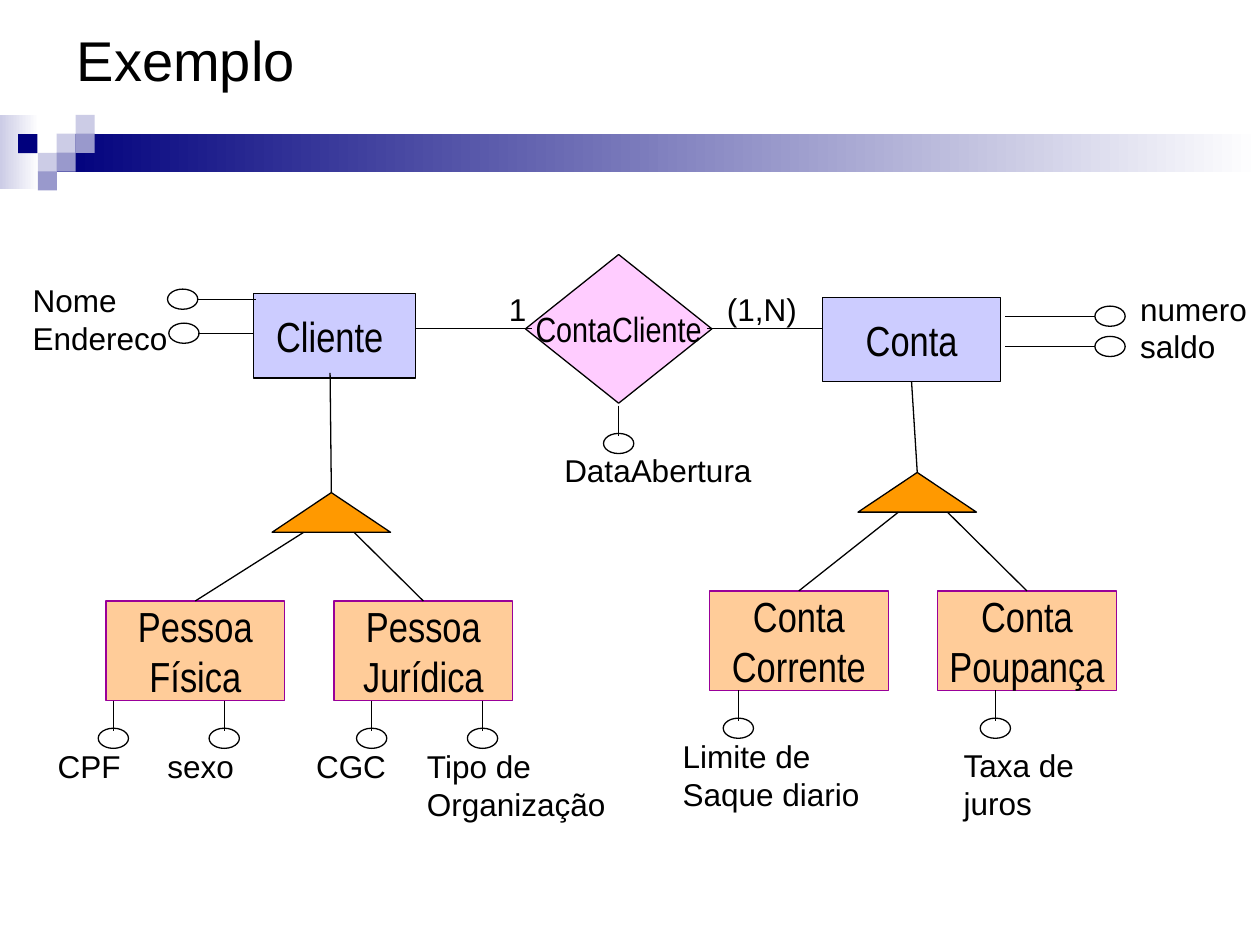
from dataclasses import dataclass
from typing import Optional

from lxml.etree import SubElement
from pptx import Presentation
from pptx.dml.color import RGBColor
from pptx.enum.shapes import MSO_CONNECTOR, MSO_SHAPE as Shape
from pptx.enum.text import MSO_ANCHOR as Anchor, MSO_AUTO_SIZE as Fit, PP_ALIGN as Align
from pptx.oxml.ns import qn
from pptx.util import Inches, Pt


@dataclass(frozen=True)
class Theme:
    black: str = "000000"
    white: str = "FFFFFF"
    navy: str = "00007D"
    mist: str = "CCCCE6"
    steel: str = "9999CC"
    entity: str = "CCCCFF"
    relation: str = "FFCCFF"
    subtype: str = "FFCC99"
    subtype_line: str = "990099"
    isa: str = "FF9900"
    body_font: str = "Arial"
    box_font: str = "Arial Narrow"
    title_size: int = 32
    box_size: int = 24
    relation_size: int = 20
    label_size: int = 18
    line_width: float = 0.75


@dataclass(frozen=True)
class Box:
    x: float
    y: float
    w: float
    h: float


@dataclass(frozen=True)
class Label:
    text: str
    x: float
    y: float
    w: float


@dataclass(frozen=True)
class Attribute:
    x: float
    top: float
    text: str
    w: float
    dx: float = -5.4
    dy: float = 3.2


@dataclass(frozen=True)
class SideAttribute:
    x: float
    y: float
    start: float
    end: float


@dataclass(frozen=True)
class Hierarchy:
    triangle: Box
    parent: tuple
    feet: tuple
    first: Box
    names: tuple


T = Theme()
COLUMNS, ROWS = 100, 75
SUBTYPE_PITCH = 18.1
OVAL_W, OVAL_H = 2.4, 1.6
TILE = 1.52
LABEL_SLACK = 0.4

prs = Presentation()
prs.slide_width, prs.slide_height = Inches(10), Inches(7.5)
s = prs.slides.add_slide(prs.slide_layouts[5])


def col(n: float) -> int:
    return round(prs.slide_width * n / COLUMNS)


def row(n: float) -> int:
    return round(prs.slide_height * n / ROWS)


def frame(b: Box) -> tuple:
    return col(b.x), row(b.y), col(b.w), row(b.h)


def rgb(color: str) -> RGBColor:
    return RGBColor.from_string(color)


def write(tf, text: str, font: str, size: int, align=Align.LEFT) -> None:
    for i, line in enumerate(text.split("\n")):
        p = tf.paragraphs[0] if i == 0 else tf.add_paragraph()
        p.alignment = align
        r = p.add_run()
        r.text = line
        r.font.name, r.font.size = font, Pt(size)
        r.font.color.rgb = rgb(T.black)


def add_shape(kind, b: Box, fill: Optional[str] = None, line: Optional[str] = T.black,
              text: str = "", size: int = T.box_size):
    sp = s.shapes.add_shape(kind, *frame(b))
    sp.shadow.inherit = False
    if fill:
        sp.fill.solid()
        sp.fill.fore_color.rgb = rgb(fill)
    else:
        sp.fill.background()
    if line:
        sp.line.color.rgb = rgb(line)
        sp.line.width = Pt(T.line_width)
    else:
        sp.line.fill.background()
    if text:
        tf = sp.text_frame
        tf.word_wrap, tf.vertical_anchor = False, Anchor.MIDDLE
        write(tf, text, T.box_font, size, Align.CENTER)
    return sp


def add_band(b: Box, left: str) -> None:
    sp = add_shape(Shape.RECTANGLE, b, left, None)
    sp.fill.gradient()
    sp.fill.gradient_angle = 0
    for stop, color in zip(sp.fill.gradient_stops, (left, T.white)):
        stop.color.rgb = rgb(color)


def add_line(x1: float, y1: float, x2: float, y2: float):
    cn = s.shapes.add_connector(MSO_CONNECTOR.STRAIGHT, col(x1), row(y1), col(x2), row(y2))
    cn.line.color.rgb = rgb(T.black)
    cn.line.width = Pt(T.line_width)
    SubElement(cn._element.spPr, qn("a:effectLst"))
    return cn


def add_label(lb: Label) -> None:
    height = 1 + 3 * len(lb.text.split("\n"))
    tf = s.shapes.add_textbox(*frame(Box(lb.x, lb.y, lb.w + LABEL_SLACK, height))).text_frame
    tf.word_wrap, tf.auto_size = False, Fit.SHAPE_TO_FIT_TEXT
    write(tf, lb.text, T.body_font, T.label_size)


def add_oval(x: float, y: float) -> None:
    add_shape(Shape.OVAL, Box(x, y, OVAL_W, OVAL_H))


def add_attribute(a: Attribute) -> None:
    add_oval(a.x - OVAL_W / 2, a.top + 2.2)
    add_line(a.x, a.top, a.x, a.top + 2.4)
    add_label(Label(a.text, a.x + a.dx, a.top + a.dy, a.w))


def add_side_attribute(a: SideAttribute) -> None:
    add_oval(a.x, a.y - OVAL_H / 2)
    add_line(a.start, a.y, a.end, a.y)


def add_hierarchy(h: Hierarchy, parent=None) -> None:
    tri = add_shape(Shape.ISOSCELES_TRIANGLE, h.triangle, T.isa)
    stem = add_line(*h.parent, h.triangle.x + h.triangle.w / 2, h.triangle.y)
    if parent is not None:
        stem.begin_connect(parent, 2)
    stem.end_connect(tri, 0)
    base = h.triangle.y + h.triangle.h
    for i, (name, foot) in enumerate(zip(h.names, h.feet)):
        b = Box(h.first.x + i * SUBTYPE_PITCH, h.first.y, h.first.w, h.first.h)
        sp = add_shape(Shape.RECTANGLE, b, T.subtype, T.subtype_line, name)
        add_line(b.x + b.w / 2, b.y, foot, base).begin_connect(sp, 0)


add_band(Box(0, 9.13, 3.1, 5.85), T.mist)
add_band(Box(4.5, 10.64, 95.5, 3), T.navy)
for x, y, color in ((4.5, 10.62, T.mist), (6, 9.12, T.mist), (6, 10.62, T.steel),
                    (3, 12.14, T.mist), (1.45, 10.64, T.navy), (4.5, 12.12, T.steel),
                    (3, 13.6, T.steel)):
    add_shape(Shape.RECTANGLE, Box(x, y, TILE, TILE), color, None)

title = s.shapes.title
title.left, title.top, title.width, title.height = frame(Box(5.1, 0, 90, 9.45))
title.text_frame.vertical_anchor = Anchor.MIDDLE
write(title.text_frame, "Exemplo", T.body_font, T.title_size)

add_shape(Shape.RECTANGLE, Box(20.1, 23.3, 12.9, 6.7), T.entity, text="Cliente ")
conta = add_shape(Shape.RECTANGLE, Box(65.3, 23.6, 14.1, 6.7), T.entity, text="Conta")
add_shape(Shape.FLOWCHART_DECISION, Box(41.7, 20.2, 14.8, 11.8), T.relation,
          text="ContaCliente", size=T.relation_size)
for start in (33, 56.1):
    add_line(start, 26.1, start + 9.2, 26.1)

for side in (SideAttribute(86.9, 25.1, 79.8, 86.9), SideAttribute(86.9, 27.5, 79.8, 86.9),
             SideAttribute(13.3, 23.75, 15.6, 20.3), SideAttribute(13.4, 26.45, 15.7, 20.1)):
    add_side_attribute(side)

for label in (Label("numero\nsaldo", 89.5, 22.5, 10.5), Label("(1,N)", 56.7, 22.5, 7.5),
              Label("1", 39.4, 22.5, 3.4), Label("Nome\nEndereco", 1.6, 21.8, 12.7)):
    add_label(label)

add_hierarchy(Hierarchy(Box(21.6, 39.1, 9.4, 3.15), (26.2, 29.6), (24.1, 28.1),
                        Box(8.4, 47.7, 14.2, 7.9), ("Pessoa\nFísica", "Pessoa\nJurídica")))
add_hierarchy(Hierarchy(Box(68.1, 37.5, 9.4, 3.15), (72.4, 30.3), (71.3, 75.2),
                        Box(56.3, 46.9, 14.2, 7.9), ("Conta\nCorrente", "Conta\nPoupança")), conta)

for attribute in (
    Attribute(49.1, 32.2, "DataAbertura", 16.8, dx=-5.3, dy=3.1),
    Attribute(9, 55.6, "CPF", 7),
    Attribute(17.8, 55.6, "sexo", 7.3, dx=-5.5),
    Attribute(29.5, 55.6, "CGC", 7.5),
    Attribute(38.3, 55.6, "Tipo de\nOrganização", 16.1),
    Attribute(58.6, 54.8, "Limite de\nSaque diario", 16),
    Attribute(79, 54.8, "Taxa de\njuros", 11, dx=-3.5, dy=3.9),
):
    add_attribute(attribute)

prs.save("out.pptx")
